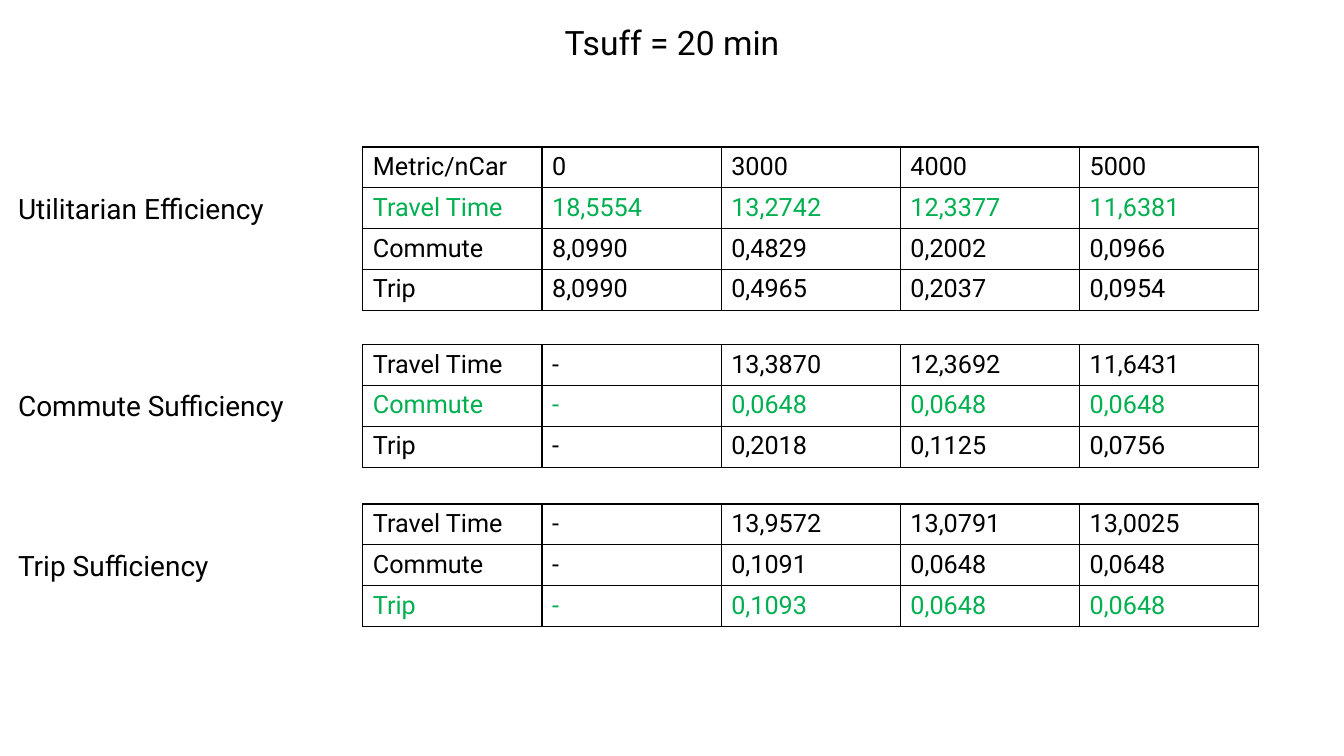
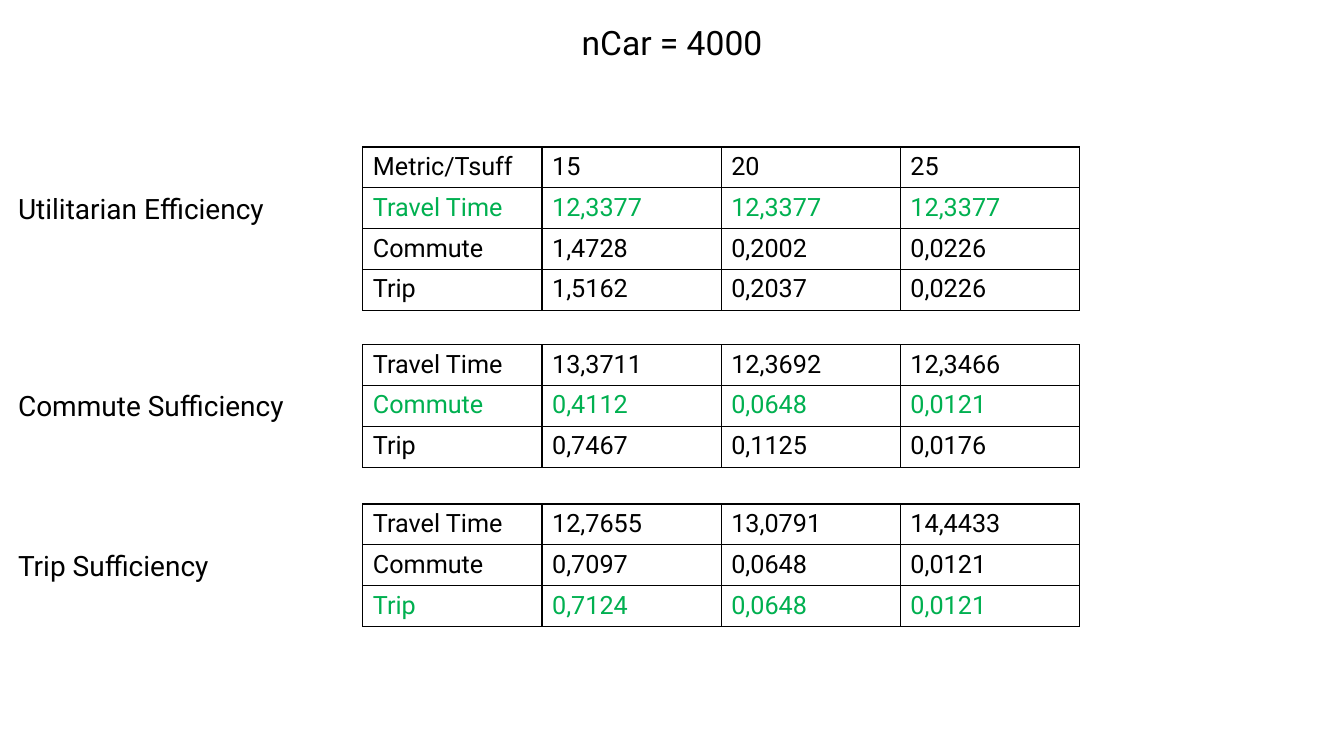
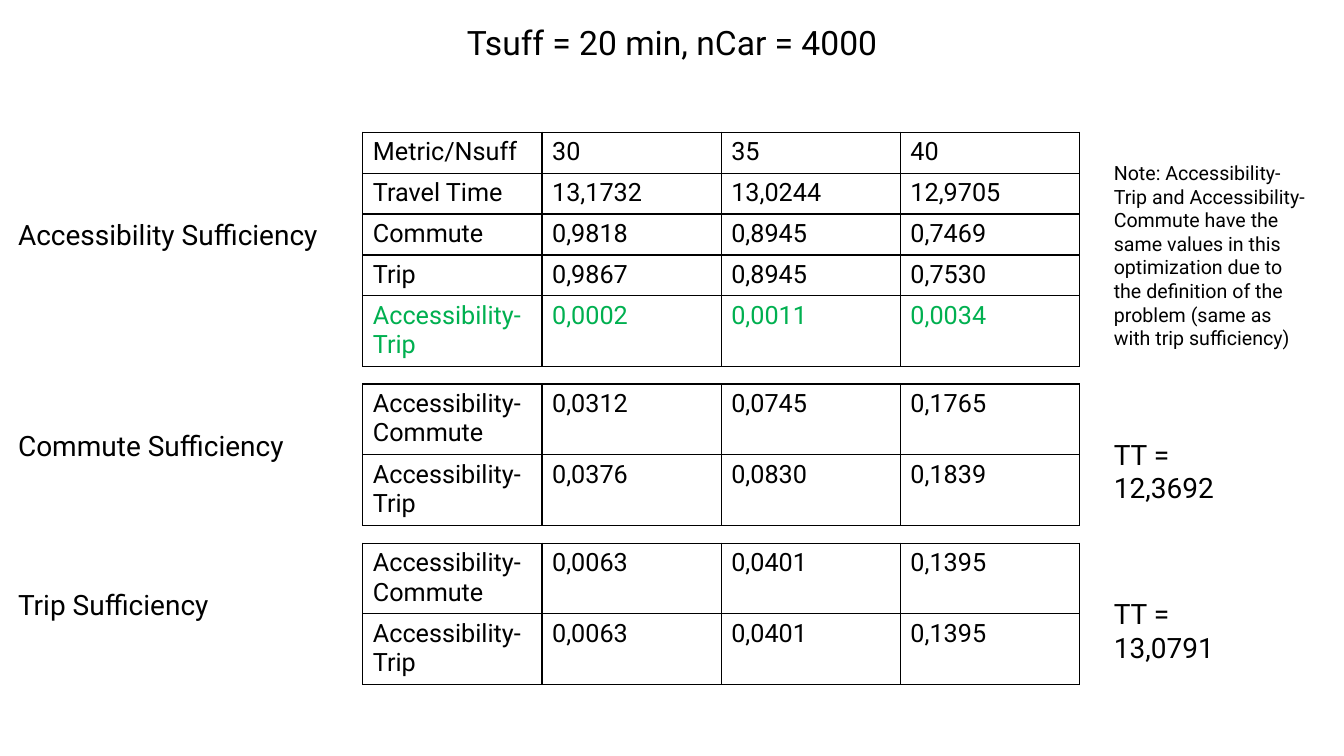
from dataclasses import dataclass
from lxml.etree import SubElement
from pptx import Presentation
from pptx.dml.color import RGBColor
from pptx.enum.text import MSO_ANCHOR, MSO_AUTO_SIZE, PP_ALIGN
from pptx.oxml.ns import qn
from pptx.util import Pt


@dataclass(frozen=True)
class Theme:
    font: str = "Roboto"
    text: str = "000000"
    highlight: str = "00B050"
    background: str = "FFFFFF"
    title_size: int = 24
    label_size: int = 20
    table_size: int = 18
    note_size: int = 14
    border_width: int = 1


@dataclass(frozen=True)
class Box:
    left: float
    top: float
    width: float
    height: float

    def lengths(self):
        return Pt(self.left), Pt(self.top), Pt(self.width), Pt(self.height)


@dataclass(frozen=True)
class Section:
    label: str
    top: float
    rows: list
    highlight: str = ""
    label_drop: float = 28
    remark: str = ""


THEME = Theme()
TITLE_BOX = Box(268.5, 12.2, 423, 36.4)
LABEL_LEFT, LABEL_WIDTH, LABEL_HEIGHT = 5.8, 244, 31.5
TABLE_LEFT, COLUMN_WIDTH = 259.2, 128
ROW_HEIGHT, TALL_ROW_HEIGHT = 29.2, 50.4
REMARK_LEFT, REMARK_WIDTH, REMARK_HEIGHT, REMARK_DROP = 788.5, 125.3, 55.5, 34.5
NOTE_BOX = Box(REMARK_LEFT, 111.6, 153.4, 143.3)
NOTE = (
    "Note: Accessibility-Trip and Accessibility-Commute have the same values in this "
    "optimization due to the definition of the problem (same as with trip sufficiency)"
)


def write(text_frame, text, size, color=THEME.text):
    text_frame.text = text
    for run in text_frame.paragraphs[0].runs:
        run.font.name = THEME.font
        run.font.size = Pt(size)
        run.font.bold = False
        run.font.color.rgb = RGBColor.from_string(color)


def format_title(slide, box, text):
    title = slide.shapes.title
    title.left, title.top, title.width, title.height = box.lengths()
    text_frame = title.text_frame
    write(text_frame, text, THEME.title_size)
    text_frame.word_wrap = True
    text_frame.auto_size = MSO_AUTO_SIZE.SHAPE_TO_FIT_TEXT
    text_frame.vertical_anchor = MSO_ANCHOR.TOP
    text_frame.paragraphs[0].alignment = PP_ALIGN.CENTER


def add_text(slide, box, text, size):
    text_frame = slide.shapes.add_textbox(*box.lengths()).text_frame
    text_frame.word_wrap = True
    text_frame.auto_size = MSO_AUTO_SIZE.SHAPE_TO_FIT_TEXT
    write(text_frame, text, size)


def add_borders(cell):
    properties = cell._tc.get_or_add_tcPr()
    for position, side in enumerate(("lnL", "lnR", "lnT", "lnB")):
        line = SubElement(properties, qn(f"a:{side}"), w=str(Pt(THEME.border_width)))
        fill = SubElement(line, qn("a:solidFill"))
        SubElement(fill, qn("a:srgbClr"), val=THEME.text)
        properties.insert(position, line)


def add_metric_table(slide, left, top, rows, highlight):
    heights = [TALL_ROW_HEIGHT if "-" in row[0] else ROW_HEIGHT for row in rows]
    column_count = len(rows[0])
    box = Box(left, top, column_count * COLUMN_WIDTH, sum(heights))
    table = slide.shapes.add_table(len(rows), column_count, *box.lengths()).table
    table.first_row = False
    table.horz_banding = False
    for column in table.columns:
        column.width = Pt(COLUMN_WIDTH)
    for row_index, (values, height) in enumerate(zip(rows, heights)):
        table.rows[row_index].height = Pt(height)
        color = THEME.highlight if values[0] == highlight else THEME.text
        for column_index, value in enumerate(values):
            cell = table.cell(row_index, column_index)
            write(cell.text_frame, value, THEME.table_size, color)
            cell.fill.background()
            add_borders(cell)


def add_section(slide, section):
    label_box = Box(LABEL_LEFT, section.top + section.label_drop, LABEL_WIDTH, LABEL_HEIGHT)
    add_metric_table(slide, TABLE_LEFT, section.top, section.rows, section.highlight)
    add_text(slide, label_box, section.label, THEME.label_size)
    if section.remark:
        remark_box = Box(REMARK_LEFT, section.top + REMARK_DROP, REMARK_WIDTH, REMARK_HEIGHT)
        add_text(slide, remark_box, section.remark, THEME.label_size)


def add_result_slide(presentation, title, sections):
    slide = presentation.slides.add_slide(presentation.slide_layouts[5])
    slide.background.fill.solid()
    slide.background.fill.fore_color.rgb = RGBColor.from_string(THEME.background)
    format_title(slide, TITLE_BOX, title)
    for section in sections:
        add_section(slide, section)
    return slide


def comparison_sections(utilitarian, commute, trip):
    return [
        Section("Utilitarian Efficiency", 105, utilitarian, "Travel Time"),
        Section("Commute Sufficiency", 246.2, commute, "Commute"),
        Section("Trip Sufficiency", 360, trip, "Trip"),
    ]


CAR_COUNT_SECTIONS = comparison_sections(
    [
        ["Metric/nCar", "0", "3000", "4000", "5000"],
        ["Travel Time", "18,5554", "13,2742", "12,3377", "11,6381"],
        ["Commute", "8,0990", "0,4829", "0,2002", "0,0966"],
        ["Trip", "8,0990", "0,4965", "0,2037", "0,0954"],
    ],
    [
        ["Travel Time", "-", "13,3870", "12,3692", "11,6431"],
        ["Commute", "-", "0,0648", "0,0648", "0,0648"],
        ["Trip", "-", "0,2018", "0,1125", "0,0756"],
    ],
    [
        ["Travel Time", "-", "13,9572", "13,0791", "13,0025"],
        ["Commute", "-", "0,1091", "0,0648", "0,0648"],
        ["Trip", "-", "0,1093", "0,0648", "0,0648"],
    ],
)

TIME_LIMIT_SECTIONS = comparison_sections(
    [
        ["Metric/Tsuff", "15", "20", "25"],
        ["Travel Time", "12,3377", "12,3377", "12,3377"],
        ["Commute", "1,4728", "0,2002", "0,0226"],
        ["Trip", "1,5162", "0,2037", "0,0226"],
    ],
    [
        ["Travel Time", "13,3711", "12,3692", "12,3466"],
        ["Commute", "0,4112", "0,0648", "0,0121"],
        ["Trip", "0,7467", "0,1125", "0,0176"],
    ],
    [
        ["Travel Time", "12,7655", "13,0791", "14,4433"],
        ["Commute", "0,7097", "0,0648", "0,0121"],
        ["Trip", "0,7124", "0,0648", "0,0121"],
    ],
)

ACCESSIBILITY_SECTIONS = [
    Section(
        "Accessibility Sufficiency",
        94.5,
        [
            ["Metric/Nsuff", "30", "35", "40"],
            ["Travel Time", "13,1732", "13,0244", "12,9705"],
            ["Commute", "0,9818", "0,8945", "0,7469"],
            ["Trip", "0,9867", "0,8945", "0,7530"],
            ["Accessibility-Trip", "0,0002", "0,0011", "0,0034"],
        ],
        highlight="Accessibility-Trip",
        label_drop=57.5,
    ),
    Section(
        "Commute Sufficiency",
        274.3,
        [
            ["Accessibility-Commute", "0,0312", "0,0745", "0,1765"],
            ["Accessibility-Trip", "0,0376", "0,0830", "0,1839"],
        ],
        remark="TT = 12,3692",
    ),
    Section(
        "Trip Sufficiency",
        388,
        [
            ["Accessibility-Commute", "0,0063", "0,0401", "0,1395"],
            ["Accessibility-Trip", "0,0063", "0,0401", "0,1395"],
        ],
        remark="TT = 13,0791",
    ),
]


def main():
    presentation = Presentation()
    presentation.slide_width, presentation.slide_height = Pt(960), Pt(540)
    add_result_slide(presentation, "Tsuff = 20 min", CAR_COUNT_SECTIONS)
    add_result_slide(presentation, "nCar = 4000", TIME_LIMIT_SECTIONS)
    slide = add_result_slide(presentation, "Tsuff = 20 min, nCar = 4000", ACCESSIBILITY_SECTIONS)
    add_text(slide, NOTE_BOX, NOTE, THEME.note_size)
    presentation.save("out.pptx")


if __name__ == "__main__":
    main()
